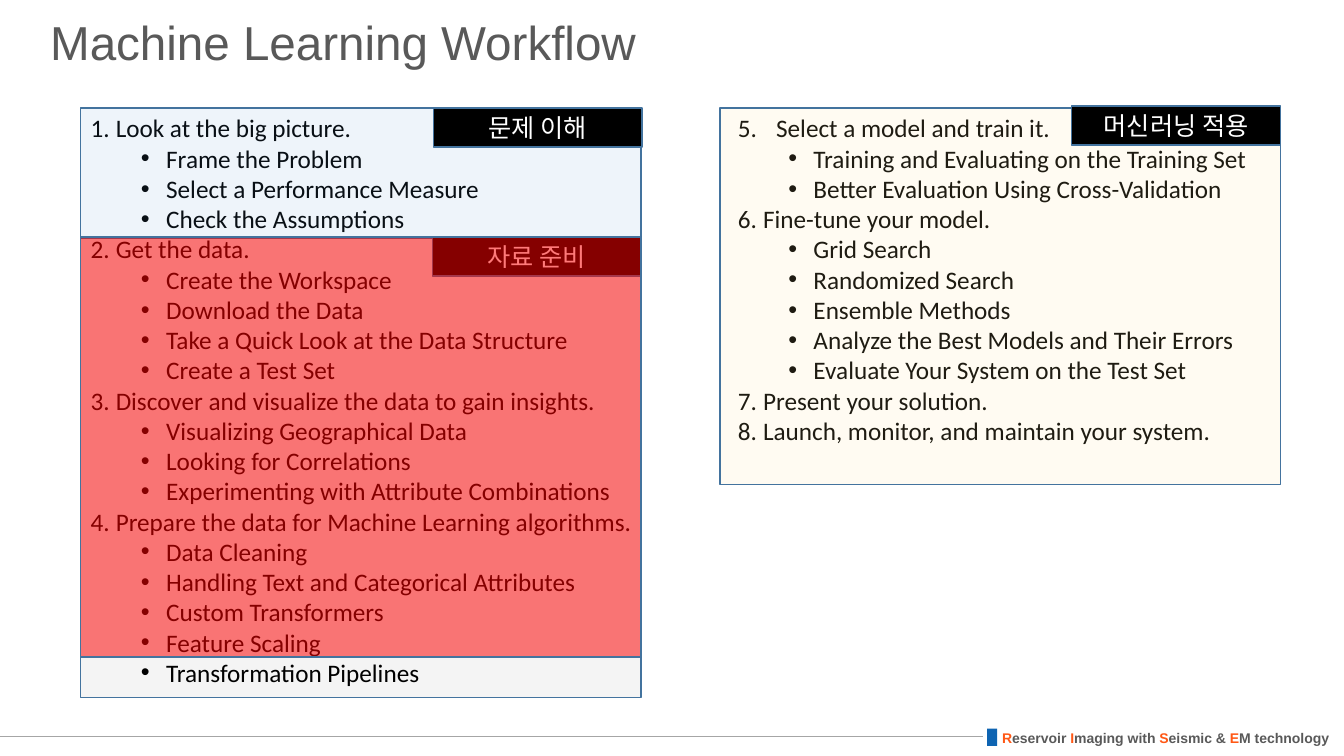
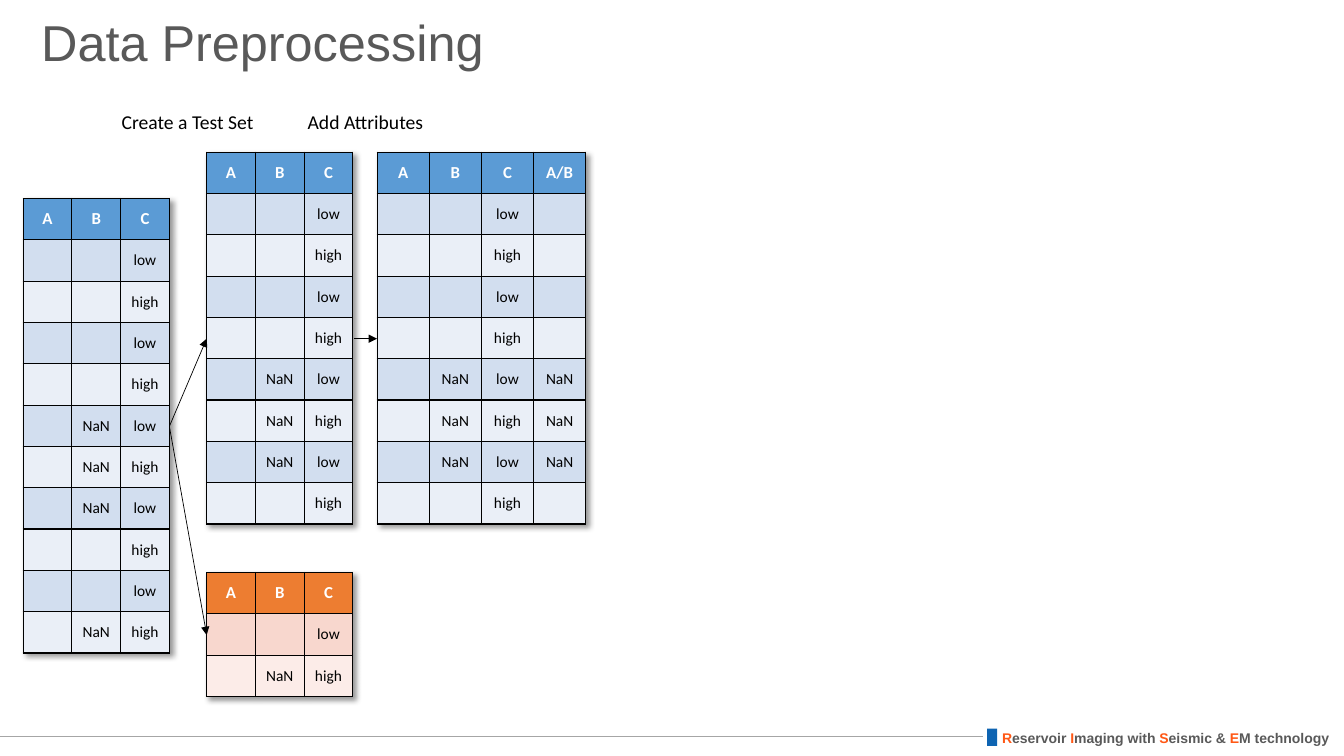
from lxml import etree
from pptx import Presentation
from pptx import util as u
from pptx.dml.color import RGBColor
from pptx.enum import shapes, text
from pptx.oxml.ns import qn

PX = 9144
ROW = 41
BLACK = RGBColor(0x00, 0x00, 0x00)
WHITE = RGBColor(0xFF, 0xFF, 0xFF)
GRAY = RGBColor(0x59, 0x59, 0x59)
RULE = RGBColor(0xA6, 0xA6, 0xA6)
SILVER = RGBColor(0xC9, 0xC9, 0xC9)
ORANGE = RGBColor(0xFF, 0x58, 0x15)
BAR = RGBColor(0x0E, 0x64, 0xB2)
EDGE = RGBColor(0x43, 0x73, 0x9E)
SKY = RGBColor(0x5B, 0x9B, 0xD5)
CREAM = RGBColor(0xFF, 0xE6, 0x99)
RED = RGBColor(0xFF, 0x00, 0x00)
BLUES = (SKY, RGBColor(0xD2, 0xDE, 0xEF), RGBColor(0xEA, 0xEF, 0xF7))
CORALS = (RGBColor(0xED, 0x7D, 0x31), RGBColor(0xF8, 0xD7, 0xCE), RGBColor(0xFC, 0xEC, 0xE8))

FOOTER = (("R", "eservoir "), ("I", "maging with "), ("S", "eismic & "), ("E", "M technology"))

PREPARE = (
    ("Look at the big picture.",
     ("Frame the Problem", "Select a Performance Measure", "Check the Assumptions")),
    ("Get the data.",
     ("Create the Workspace", "Download the Data",
      "Take a Quick Look at the Data Structure", "Create a Test Set")),
    ("Discover and visualize the data to gain insights.",
     ("Visualizing Geographical Data", "Looking for Correlations",
      "Experimenting with Attribute Combinations")),
    ("Prepare the data for Machine Learning algorithms.",
     ("Data Cleaning", "Handling Text and Categorical Attributes", "Custom Transformers",
      "Feature Scaling", "Transformation Pipelines")),
)
APPLY = (
    ("Select a model and train it.",
     ("Training and Evaluating on the Training Set",
      "Better Evaluation Using Cross-Validation")),
    ("Fine-tune your model.",
     ("Grid Search", "Randomized Search", "Ensemble Methods",
      "Analyze the Best Models and Their Errors", "Evaluate Your System on the Test Set")),
    ("Present your solution.", ()),
    ("Launch, monitor, and maintain your system.", ()),
)


def node(parent, tag, **attrs):
    return etree.SubElement(parent, qn(tag), {k: str(v) for k, v in attrs.items()})


def style(para, size, color=None, bold=False, face="Calibri"):
    font = para.font
    font.name, font.size, font.bold = face, u.Pt(size), bold
    if color is not None:
        font.color.rgb = color


class Deck:
    def __init__(self):
        self.prs = Presentation()
        self.prs.slide_width, self.prs.slide_height = self.emu(1333, 750)

    def emu(self, *sizes):
        return [u.Emu(size * PX) for size in sizes]

    def page(self, title, left, size):
        self.slide = self.prs.slides.add_slide(self.prs.slide_layouts[6])
        self.footer()
        frame = self.box((left, 0, 1150, 89))
        frame.vertical_anchor = text.MSO_ANCHOR.MIDDLE
        para = frame.paragraphs[0]
        para.text = title
        para.line_spacing = 0.9
        style(para, size, GRAY, face="Arial")

    def footer(self):
        para = self.box((984, 719, 348, 27), wrap=False).paragraphs[0]
        for pair in FOOTER:
            for part, color in zip(pair, (ORANGE, GRAY)):
                run = para.add_run()
                run.text = part
                run.font.color.rgb = color
        style(para, 10, bold=True, face="Arial")
        self.line((975, 731), (0, 731), RULE)
        self.rect((979, 723, 10, 17), BAR, edge=None)

    def box(self, area, wrap=True):
        frame = self.slide.shapes.add_textbox(*self.emu(*area)).text_frame
        frame.word_wrap = wrap
        return frame

    def label(self, area, words):
        para = self.box(area, wrap=False).paragraphs[0]
        para.text = words
        para.alignment = text.PP_ALIGN.CENTER
        style(para, 14, BLACK)

    def rect(self, area, color, alpha=100, edge=EDGE):
        shape = self.slide.shapes.add_shape(shapes.MSO_SHAPE.RECTANGLE, *self.emu(*area))
        shape.shadow.inherit = False
        shape.fill.solid()
        shape.fill.fore_color.rgb = color
        if alpha < 100:
            paint = shape._element.spPr.find(qn("a:solidFill"))
            node(paint[0], "a:alpha", val=alpha * 1000)
        if edge is None:
            shape.line.fill.background()
        else:
            shape.line.color.rgb = edge
            shape.line.width = u.Pt(1)
        return shape

    def tag(self, left, top, words):
        frame = self.rect((left, top, 207, 39), BLACK).text_frame
        para = frame.paragraphs[0]
        para.text = words
        para.alignment = text.PP_ALIGN.CENTER
        style(para, 18, WHITE)

    def line(self, start, end, color=BLACK, arrow=False):
        link = self.slide.shapes.add_connector(
            shapes.MSO_CONNECTOR.STRAIGHT, *self.emu(*start, *end))
        link.line.color.rgb = color
        link.line.width = u.Pt(0.5)
        if arrow:
            node(link.line._get_or_add_ln(), "a:tailEnd", type="triangle")
        node(link._element.spPr, "a:effectLst")

    def steps(self, area, items, start=1, first=25):
        frame = self.box(area)
        rows = []
        for index, (head, points) in enumerate(items):
            rows.append((head, 0, 25 if index else first, 25 if index else first))
            rows += [(point, 1, 75, 25) for point in points]
        for index, (words, level, left, hang) in enumerate(rows):
            para = frame.add_paragraph() if index else frame.paragraphs[0]
            para.text = words
            para.level = level
            props = para._p.get_or_add_pPr()
            props.set("marL", str(left * PX))
            props.set("indent", str(-hang * PX))
            if level:
                node(props, "a:buFont", typeface="Arial")
                node(props, "a:buChar", char="•")
            else:
                node(props, "a:buFont", typeface="+mj-lt")
                node(props, "a:buAutoNum", type="arabicPeriod", startAt=start)
            style(para, 18, BLACK)

    def table(self, left, top, wide, rows, tints):
        count = len(rows[0])
        frame = self.slide.shapes.add_table(
            len(rows), count, *self.emu(left, top, wide, ROW * len(rows)))
        grid = frame.table
        effect = etree.Element(qn("a:effectLst"))
        shade = node(effect, "a:outerShdw", blurRad=50800, dist=38100, dir=2700000,
                     algn="tl", rotWithShape=0)
        node(node(shade, "a:prstClr", val="black"), "a:alpha", val=40000)
        grid._tbl.tblPr.insert(0, effect)
        for col in grid.columns:
            col.width = u.Emu(wide * PX // count)
        for y, row in enumerate(rows):
            for x, words in enumerate(row):
                tint = tints[0] if y == 0 else tints[2 - y % 2]
                self.cell(grid.cell(y, x), words, tint, y == 0)

    def cell(self, cell, words, tint, head):
        props = cell._tc.get_or_add_tcPr()
        for side in "LRTB":
            edge = node(props, "a:ln" + side, w=u.Pt(1))
            node(node(edge, "a:solidFill"), "a:srgbClr", val=BLACK)
        cell.fill.solid()
        cell.fill.fore_color.rgb = tint
        cell.vertical_anchor = text.MSO_ANCHOR.MIDDLE
        para = cell.text_frame.paragraphs[0]
        para.text = words
        para.alignment = text.PP_ALIGN.CENTER
        style(para, 12 if head else 11, WHITE if head else BLACK, head)


def sample(count, gaps, ratio=False):
    rows = [["A", "B", "C", "A/B"]]
    for y in range(1, count + 1):
        gap = "NaN" if y in gaps else ""
        rows.append(["", gap, "low" if y % 2 else "high", gap])
    return rows if ratio else [row[:3] for row in rows]


def flow(deck):
    deck.page("Machine Learning Workflow", 40, 34)
    deck.rect((80, 236, 556, 456), SILVER, 19)
    deck.steps((80, 107, 667, 586), PREPARE)
    deck.steps((722, 107, 667, 374), APPLY, start=5, first=38)
    deck.rect((80, 107, 556, 129), SKY, 10)
    deck.tag(430, 107, "문제 이해")
    deck.tag(429, 235, "자료 준비")
    deck.rect((714, 107, 556, 374), CREAM, 12)
    deck.tag(1063, 105, "머신러닝 적용")
    deck.rect((80, 235, 556, 417), RED, 52)


def prep(deck):
    deck.page("Data Preprocessing", 31, 36)
    deck.table(23, 197, 145, sample(10, (5, 6, 7, 10)), BLUES)
    deck.table(205, 151, 145, sample(8, (5, 6, 7)), BLUES)
    deck.table(205, 568, 145, sample(2, (2,)), CORALS)
    deck.table(374, 151, 207, sample(8, (5, 6, 7), ratio=True), BLUES)
    for start, end in (((168, 423), (205, 336)), ((351, 336), (374, 336)),
                       ((168, 423), (205, 630))):
        deck.line(start, end, arrow=True)
    deck.label((110, 104, 152, 34), "Create a Test Set")
    deck.label((294, 104, 137, 34), "Add Attributes")


def main():
    deck = Deck()
    flow(deck)
    prep(deck)
    deck.prs.save("out.pptx")


if __name__ == "__main__":
    main()
